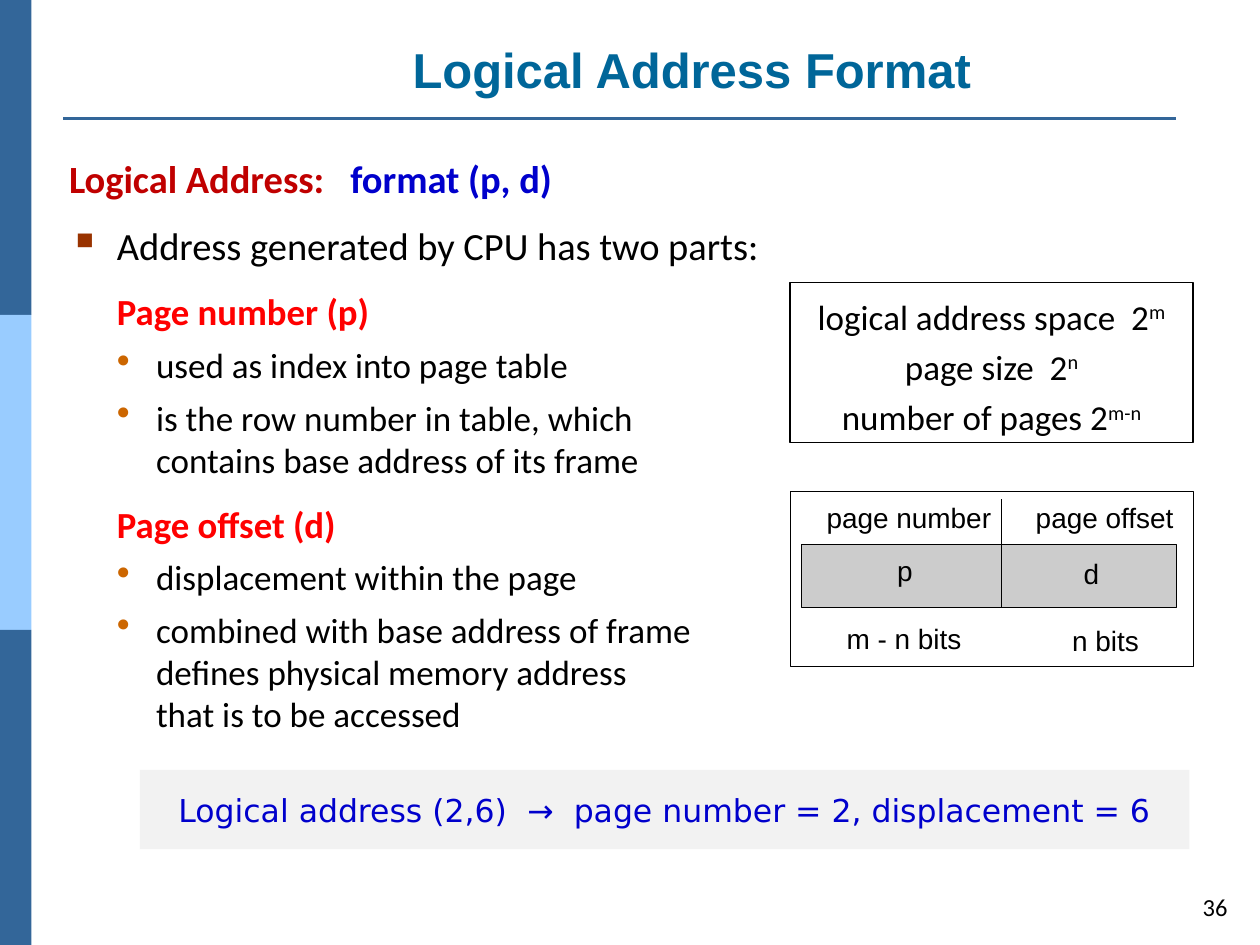
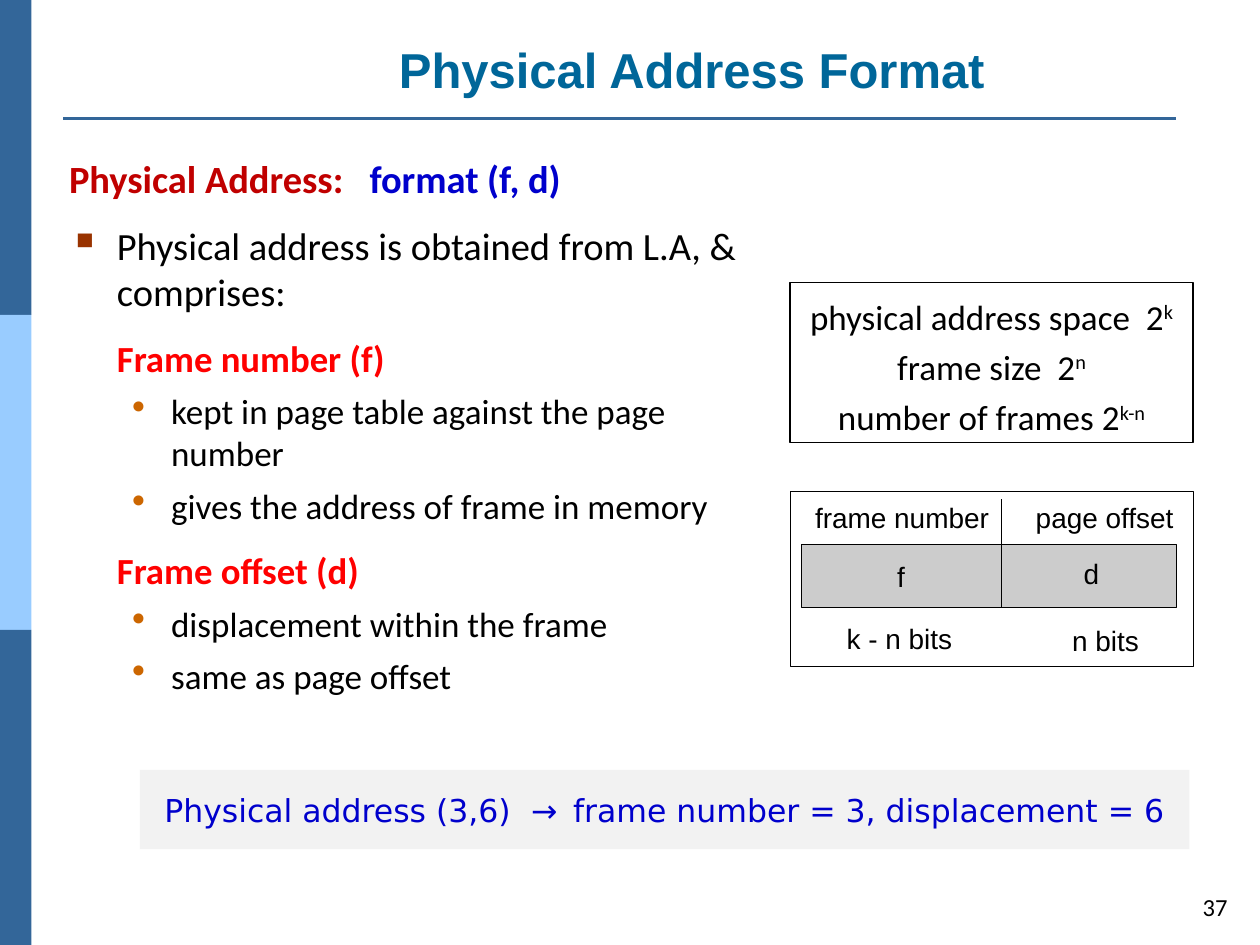
from lxml.etree import SubElement
from pptx import Presentation
from pptx.dml.color import RGBColor
from pptx.enum.shapes import MSO_CONNECTOR, MSO_SHAPE
from pptx.enum.text import MSO_ANCHOR, MSO_AUTO_SIZE, PP_ALIGN
from pptx.oxml.ns import qn
from pptx.util import Inches, Pt

COLORS = {
    "band": "336699", "band_light": "99CCFF", "title": "006699",
    "topic": "C00000", "format": "0000CC", "part": "FF0000",
    "square": "993300", "dot": "CC6600", "text": "000000",
    "paper": "FFFFFF", "field": "CCCCCC", "example": "F2F2F2",
}
COLORS = {name: RGBColor.from_string(value) for name, value in COLORS.items()}

# Body styles: left margin, first-line indent, space before, bullet, bullet colour
BODY_STYLES = {
    "heading": (0.38, -0.38, 0, None, None),
    "point": (0.38, -0.38, 12, "▪", "square"),
    "part": (0.38, 0, 12, None, None),
    "detail": (0.69, -0.31, 6, "•", "dot"),
}
# Text size, colour and weight of the single-run body styles
BODY_FONTS = {
    "point": (22, "text", False),
    "part": (21, "part", True),
    "detail": (20, "text", False),
}

SLIDES = [
    {
        "title": "Logical Address Format", "number": "36",
        "topic": "Logical Address:   ", "format": "format (p, d)",
        "detail_margin": 0.69,
        "body": [
            ("point", "Address generated by CPU has two parts:"),
            ("part", "Page number (p)"),
            ("detail", "used as index into page table"),
            ("detail", "is the row number in table, which\ncontains base address of its frame"),
            ("part", "Page offset (d)"),
            ("detail", "displacement within the page"),
            ("detail", "combined with base address of frame defines physical memory address\n"
                       "that is to be accessed"),
        ],
        "sizes": [("logical address space  2", "m"), ("page size  2", "n"),
                  ("number of pages 2", "m-n")],
        "labels": [("page number", 6.56, 3.97, 1.32), ("p", 7.12, 4.39, 0.12),
                   ("m - n bits", 6.72, 4.93, 0.93)],
        "example": ("Logical address (2,6)  ", "→", "  page number = 2, displacement = 6"),
    },
    {
        "title": "Physical Address Format", "number": "37",
        "topic": "Physical Address:   ", "format": "format (f, d)",
        "detail_margin": 0.81,
        "body": [
            ("point", "Physical address is obtained from L.A, & comprises:"),
            ("part", "Frame number (f)"),
            ("detail", "kept in page table against the page \nnumber"),
            ("detail", "gives the address of frame in memory"),
            ("part", "Frame offset (d)"),
            ("detail", "displacement within the frame"),
            ("detail", "same as page offset"),
        ],
        "sizes": [("physical address space  2", "k"), ("frame size  2", "n"),
                  ("number of frames 2", "k-n")],
        "labels": [("frame number", 6.47, 3.97, 1.4), ("f", 7.12, 4.44, 0.06),
                   ("k - n bits", 6.72, 4.93, 0.85)],
        "example": ("Physical address (3,6)  ", "→  ", "frame number = 3, displacement = 6"),
    },
]
OFFSET_LABELS = [("page offset", 8.22, 3.97, 1.11), ("d", 8.6, 4.42, 0.12),
                 ("n bits", 8.51, 4.95, 0.54)]


def add_run(paragraph, text, size, color, font="Calibri", bold=False):
    for index, line in enumerate(text.split("\n")):
        if index:
            paragraph.add_line_break()
        run = paragraph.add_run()
        run.text = line
        run.font.name = font
        run.font.size = Pt(size)
        run.font.bold = bold
        run.font.color.rgb = COLORS[color]
    return run


def add_box(slide, left, top, width, height, fill=None, line_width=None):
    shape = slide.shapes.add_shape(
        MSO_SHAPE.RECTANGLE, Inches(left), Inches(top), Inches(width), Inches(height))
    shape.shadow.inherit = False
    if fill:
        shape.fill.solid()
        shape.fill.fore_color.rgb = COLORS[fill]
    else:
        shape.fill.background()
    if line_width:
        shape.line.color.rgb = COLORS["text"]
        shape.line.width = Pt(line_width)
    else:
        shape.line.fill.background()
    shape.text_frame.vertical_anchor = MSO_ANCHOR.MIDDLE
    return shape


presentation = Presentation()
presentation.slide_width = Inches(10)
presentation.slide_height = Inches(7.5)

for content in SLIDES:
    slide = presentation.slides.add_slide(presentation.slide_layouts[5])

    # Side bands
    for index, color in enumerate(("band", "band_light", "band")):
        add_box(slide, 0, 2.5 * index, 0.25, 2.5, color)

    # Title
    title = slide.shapes.title
    title.left, title.top = Inches(0.98), Inches(0.04)
    title.width, title.height = Inches(9.02), Inches(0.79)
    title.text_frame.auto_size = MSO_AUTO_SIZE.NONE
    title.text_frame.vertical_anchor = MSO_ANCHOR.BOTTOM
    paragraph = title.text_frame.paragraphs[0]
    paragraph.alignment = PP_ALIGN.CENTER
    add_run(paragraph, content["title"], 28, "title", "Arial", True)

    # Body text
    body = slide.shapes.add_textbox(Inches(0.45), Inches(1.18), Inches(5.74), Inches(4.77))
    frame = body.text_frame
    frame.word_wrap = True
    for index, (style, text) in enumerate([("heading", content["topic"])] + content["body"]):
        paragraph = frame.add_paragraph() if index else frame.paragraphs[0]
        margin, indent, space, bullet, bullet_color = BODY_STYLES[style]
        if style == "detail":
            margin = content["detail_margin"]
        properties = paragraph._p.get_or_add_pPr()
        properties.set("marL", str(Inches(margin)))
        properties.set("indent", str(Inches(indent)))
        if bullet:
            color = SubElement(properties, qn("a:buClr"))
            SubElement(color, qn("a:srgbClr"), val=str(COLORS[bullet_color]))
            SubElement(properties, qn("a:buSzPct"), val="110000")
            SubElement(properties, qn("a:buChar"), char=bullet)
        if space:
            paragraph.space_before = Pt(space)
        if style == "heading":
            add_run(paragraph, text, 22, "topic", bold=True)
            add_run(paragraph, content["format"], 22, "format", bold=True)
        else:
            size, color, bold = BODY_FONTS[style]
            add_run(paragraph, text, size, color, bold=bold)

    # Sizes as powers of two
    frame = add_box(slide, 6.27, 2.24, 3.2, 1.27, "paper", 0.75).text_frame
    frame.word_wrap = True
    for index, (text, exponent) in enumerate(content["sizes"]):
        paragraph = frame.add_paragraph() if index else frame.paragraphs[0]
        paragraph.alignment = PP_ALIGN.CENTER
        paragraph.line_spacing = 1.2
        add_run(paragraph, text, 20, "text")
        power = add_run(paragraph, exponent, 20, "text")
        power.font._element.set("baseline", "30000")

    # Address layout diagram
    add_box(slide, 6.27, 3.9, 3.2, 1.39, line_width=0.25)
    add_box(slide, 6.36, 4.32, 2.98, 0.5, "field", 0.63)
    for text, left, top, width in content["labels"] + OFFSET_LABELS:
        label = slide.shapes.add_textbox(Inches(left), Inches(top), Inches(width), Inches(0.27))
        frame = label.text_frame
        frame.margin_left = frame.margin_right = frame.margin_top = frame.margin_bottom = 0
        frame.word_wrap = False
        add_run(frame.paragraphs[0], text, 16, "text", "Arial")

    # Title rule and diagram divider
    for x1, y1, x2, y2, color, width in ((0.5, 0.94, 9.33, 0.94, "band", 1.5),
                                         (7.95, 4.82, 7.95, 3.96, "text", 0.88)):
        line = slide.shapes.add_connector(
            MSO_CONNECTOR.STRAIGHT, Inches(x1), Inches(y1), Inches(x2), Inches(y2))
        line.line.color.rgb = COLORS[color]
        line.line.width = Pt(width)
        SubElement(line._element.spPr, qn("a:effectLst"))

    # Worked example
    example = add_box(slide, 1.11, 6.11, 8.33, 0.63, "example")
    paragraph = example.text_frame.paragraphs[0]
    # Centring gives the example equal margins on both sides
    paragraph.alignment = PP_ALIGN.CENTER
    for text, font in zip(content["example"], ("DejaVu Sans", "Roboto", "DejaVu Sans")):
        add_run(paragraph, text, 18, "format", font)

    # Slide number
    number = slide.shapes.add_textbox(Inches(9.39), Inches(6.99), Inches(0.45), Inches(0.41))
    number.text_frame.word_wrap = True
    number.text_frame.vertical_anchor = MSO_ANCHOR.MIDDLE
    paragraph = number.text_frame.paragraphs[0]
    paragraph.alignment = PP_ALIGN.RIGHT
    add_run(paragraph, content["number"], 14, "text")

presentation.save("out.pptx")
